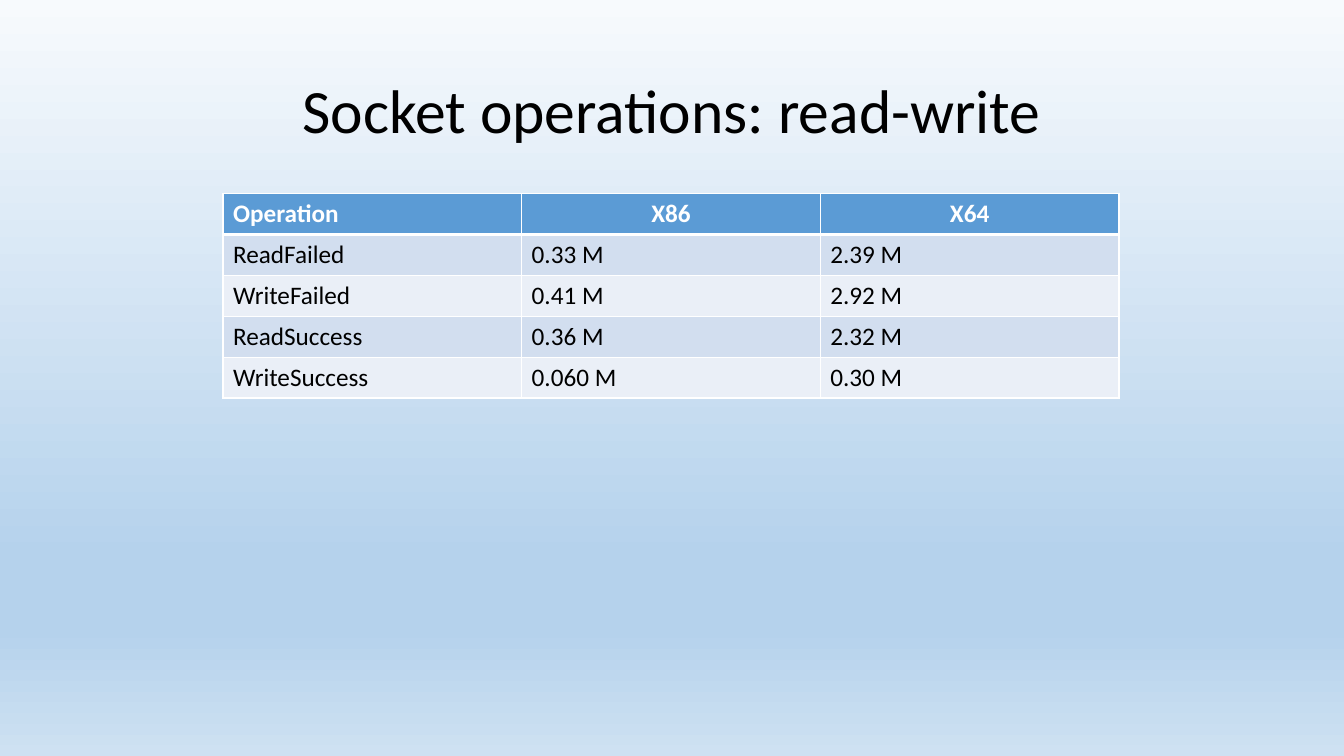
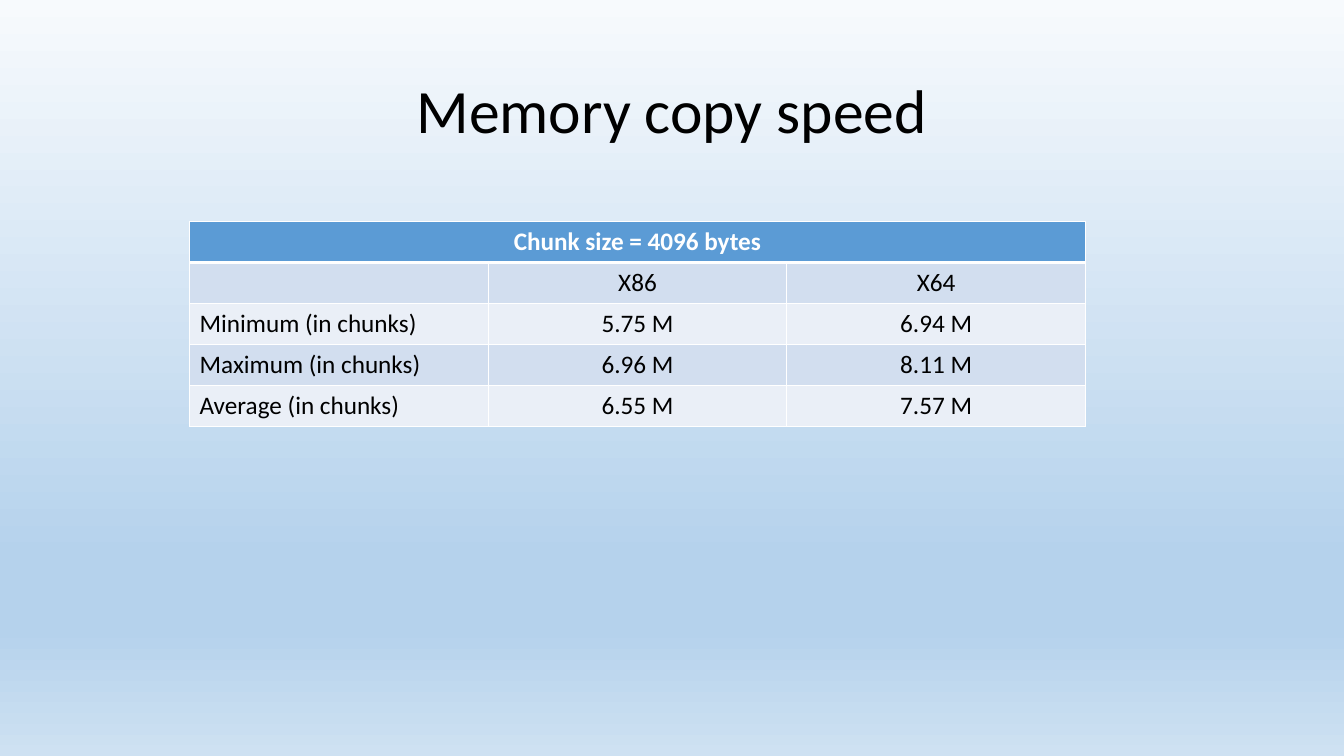
"""Build two benchmark slides, each with a title and a table."""
from copy import deepcopy

from lxml.etree import SubElement
from pptx import Presentation
from pptx.dml.color import RGBColor
from pptx.enum.text import MSO_ANCHOR, PP_ALIGN
from pptx.oxml.ns import qn
from pptx.util import Pt

SLIDES = [
    {
        "title": "Socket operations: read-write",
        "left": 159.3, "top": 138.3,
        "header_alignment": "lcc", "body_alignment": "lll",
        "rows": [
            ("Operation", "X86", "X64"),
            ("ReadFailed", "0.33 M", "2.39 M"),
            ("WriteFailed", "0.41 M", "2.92 M"),
            ("ReadSuccess", "0.36 M", "2.32 M"),
            ("WriteSuccess", "0.060 M", "0.30 M"),
        ],
    },
    {
        "title": "Memory copy speed",
        "left": 135.4, "top": 158.4,
        "header_alignment": "c", "body_alignment": "lcc",
        "rows": [
            ("Chunk size = 4096 bytes",),
            ("", "X86", "X64"),
            ("Minimum (in chunks)", "5.75 M", "6.94 M"),
            ("Maximum (in chunks)", "6.96 M", "8.11 M"),
            ("Average (in chunks)", "6.55 M", "7.57 M"),
        ],
    },
]

COLORS = {
    "text": "000000", "border": "FFFFFF", "header_text": "FFFFFF",
    "header": "5B9BD5", "odd_row": "D2DEEF", "even_row": "EAEFF7",
    "sky_top": "F7FAFD", "sky": "B5D2EC", "sky_bottom": "CEE1F2",
}
GRADIENT = [(0, "sky_top"), (0.74, "sky"), (0.83, "sky"), (1, "sky_bottom")]
ALIGNMENTS = {"l": PP_ALIGN.LEFT, "c": PP_ALIGN.CENTER}
FONT = "Calibri"
SLIDE_SIZE = (960, 540)
TITLE_BOX = (66, 28.8, 828, 104.4)
COLUMN_COUNT, COLUMN_WIDTH, ROW_HEIGHT = 3, 213.33, 29.2
THIN, THICK = 1, 3


def rgb(name):
    return RGBColor.from_string(COLORS[name])


def write_text(text_frame, text, size=18, color="text", bold=False,
               alignment="l", line_spacing=1.0):
    paragraph = text_frame.paragraphs[0]
    paragraph.alignment = ALIGNMENTS[alignment]
    paragraph.line_spacing = line_spacing
    if not text:
        paragraph.font.size = Pt(size)
        return
    run = paragraph.add_run()
    run.text = text
    run.font.name = FONT
    run.font.size = Pt(size)
    run.font.bold = bold
    run.font.color.rgb = rgb(color)


def set_background(master):
    fill = master.background.fill
    fill.gradient()
    fill.gradient_angle = 270
    stop_list = master.element.xpath("./p:cSld/p:bg//a:gsLst")[0]
    while len(stop_list) < len(GRADIENT):
        stop_list.append(deepcopy(stop_list[0]))
    for stop, (position, color) in zip(fill.gradient_stops, GRADIENT):
        stop.position = position
        stop.color.rgb = rgb(color)


def set_borders(cell, top, bottom):
    properties = cell._tc.get_or_add_tcPr()
    for side, width in (("L", THIN), ("R", THIN), ("T", top), ("B", bottom)):
        line = SubElement(properties, qn(f"a:ln{side}"), w=str(Pt(width)))
        solid_fill = SubElement(line, qn("a:solidFill"))
        SubElement(solid_fill, qn("a:srgbClr"), val=COLORS["border"])


def add_title(slide, text):
    title = slide.shapes.title
    title.left, title.top, title.width, title.height = map(Pt, TITLE_BOX)
    title.text_frame.word_wrap = True
    title.text_frame.vertical_anchor = MSO_ANCHOR.MIDDLE
    write_text(title.text_frame, text, size=44, alignment="c", line_spacing=0.9)


def add_benchmark_table(slide, content):
    rows = content["rows"]
    table = slide.shapes.add_table(
        len(rows), COLUMN_COUNT, Pt(content["left"]), Pt(content["top"]),
        Pt(COLUMN_WIDTH * COLUMN_COUNT), Pt(ROW_HEIGHT * len(rows))).table
    for column in table.columns:
        column.width = Pt(COLUMN_WIDTH)
    for row_index, values in enumerate(rows):
        is_header = row_index == 0
        table.rows[row_index].height = Pt(ROW_HEIGHT)
        row_fill = "header" if is_header else ("even_row", "odd_row")[row_index % 2]
        for column_index in range(COLUMN_COUNT):
            cell = table.cell(row_index, column_index)
            set_borders(cell, top=THICK if row_index == 1 else THIN,
                        bottom=THICK if is_header else THIN)
            cell.fill.solid()
            cell.fill.fore_color.rgb = rgb(row_fill)
        if len(values) == 1:
            table.cell(row_index, 0).merge(table.cell(row_index, COLUMN_COUNT - 1))
        alignments = content["header_alignment" if is_header else "body_alignment"]
        for column_index, (text, alignment) in enumerate(zip(values, alignments)):
            write_text(table.cell(row_index, column_index).text_frame, text,
                       color="header_text" if is_header else "text",
                       bold=is_header, alignment=alignment)


presentation = Presentation()
presentation.slide_width, presentation.slide_height = map(Pt, SLIDE_SIZE)
set_background(presentation.slide_master)
title_only = presentation.slide_layouts.get_by_name("Title Only")
for content in SLIDES:
    slide = presentation.slides.add_slide(title_only)
    add_title(slide, content["title"])
    add_benchmark_table(slide, content)
presentation.save("out.pptx")
